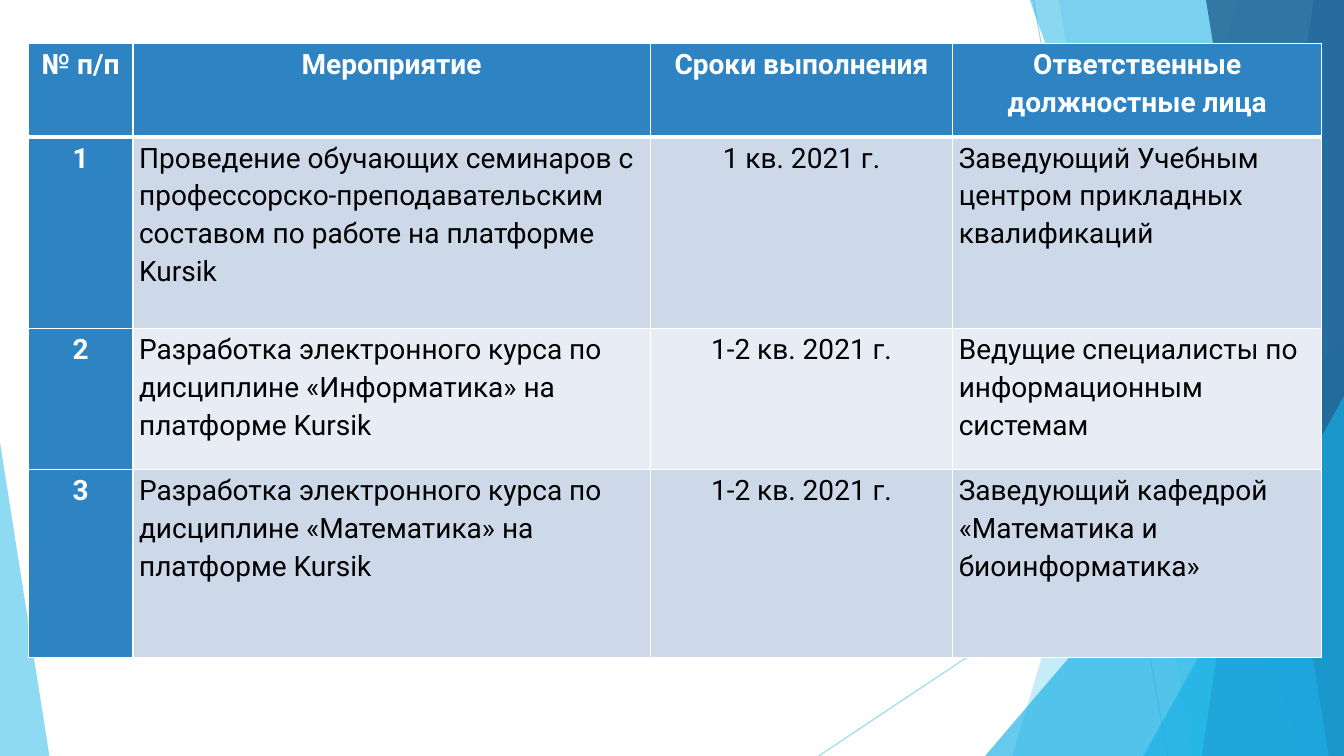
from lxml.etree import SubElement as Sub
from pptx import Presentation
from pptx.dml.color import RGBColor as Rgb
from pptx.enum.shapes import MSO_CONNECTOR as Conn, MSO_SHAPE as Shape
from pptx.enum.text import PP_ALIGN as Align
from pptx.oxml import parse_xml
from pptx.oxml.ns import nsdecls, qn
from pptx.util import Inches, Pt

# Content
HEAD = ("№ п/п", "Мероприятие", "Сроки выполнения", "Ответственные должностные лица")
TASKS = [
    ("Проведение обучающих семинаров с профессорско-преподавательским "
     "составом по работе на платформе Kursik",
     "1 кв. 2021 г.", "Заведующий Учебным центром прикладных квалификаций"),
    ("Разработка электронного курса по дисциплине «Информатика» на платформе Kursik",
     "1-2 кв. 2021 г.", "Ведущие специалисты по информационным системам"),
    ("Разработка электронного курса по дисциплине «Математика» на платформе Kursik",
     "1-2 кв. 2021 г.", "Заведующий кафедрой «Математика и биоинформатика»"),
]
ROWS = [HEAD] + [(str(n), *task) for n, task in enumerate(TASKS, 1)]


class Theme:
    font, size = "Roboto", Pt(20)
    white, black = "FFFFFF", "000000"
    sky, aqua, blue, navy = "5FCBEF", "17B0E4", "2E83C3", "226292"
    bands = "CDD9E9", "E8EDF5"
    thin, thick = 1, 3


# Geometry in inches
WIDE, HIGH, TOP = 13.33, 7.5, -0.01
COLS = (1.04, 5.13, 3, 3.66)
TALL = (0.93, 1.9, 1.4, 1.86)
LEFT, UPPER = 0.28, 0.43
LINES = [((10.25, 0), (11.58, HIGH)), ((WIDE, 4.03), (8.12, HIGH))]
# Facets run to the right edge: top x, bottom x, colour, opacity in percent.
# Wedges: left, top, width, apex position, colour, opacity in percent.
DECOR = [
    ("facet", (12.28, 10.04), Theme.sky, 36),
    ("facet", (10.5, 11.83), Theme.sky, 20),
    ("wedge", (9.77, 3.33, 3.56, 1), Theme.aqua, 66),
    ("facet", (10.21, 12.91), Theme.aqua, 50),
    ("facet", (13.03, 11.92), Theme.blue, 70),
    ("facet", (11.96, 13.18), Theme.navy, 80),
    ("wedge", (11.34, 3.93, 1.99, 1), Theme.aqua, 66),
    ("wedge", (0, 4.39, 0.49, 0), Theme.sky, 70),
]


def paint(fill, color, alpha=100):
    fill.solid()
    fill.fore_color.rgb = Rgb.from_string(color)
    if alpha < 100:
        tint = fill._xPr.find(qn("a:solidFill"))[0]
        Sub(tint, qn("a:alpha"), val=str(alpha * 1000))


def facet(shapes, top, low):
    pts = [(top, TOP), (WIDE, TOP), (WIDE, HIGH), (low, HIGH)]
    pts = [(Inches(x), Inches(y)) for x, y in pts]
    pen = shapes.build_freeform(*pts[0])
    pen.add_line_segments(pts[1:], close=True)
    return pen.convert_to_shape()


def wedge(shapes, left, top, width, apex):
    box = [Inches(v) for v in (left, top, width, HIGH - top)]
    shape = shapes.add_shape(Shape.ISOSCELES_TRIANGLE, *box)
    shape.adjustments[0] = apex
    return shape


def border(cell, row):
    edges = {"L": Theme.thin, "R": Theme.thin,
             "T": Theme.thick if row == 1 else Theme.thin,
             "B": Theme.thick if row == 0 else Theme.thin}
    props = cell._tc.get_or_add_tcPr()
    for spot, (side, width) in enumerate(edges.items()):
        props.insert(spot, parse_xml(
            f'<a:ln{side} {nsdecls("a")} w="{Pt(width)}"><a:solidFill>'
            f'<a:srgbClr val="{Theme.white}"/></a:solidFill></a:ln{side}>'))


def write(cell, text, row, col):
    strong = row == 0 or col == 0
    paint(cell.fill, Theme.blue if strong else Theme.bands[(row - 1) % 2])
    border(cell, row)
    cell.text = text
    para = cell.text_frame.paragraphs[0]
    center = row == 0 or col in (0, 2)
    font = para.runs[0].font
    formats = [
        (cell, {"margin_left": Inches(0.06), "margin_right": Inches(0.06),
                "margin_top": 0, "margin_bottom": 0}),
        (para, {"alignment": Align.CENTER if center else Align.LEFT,
                "line_spacing": 1.15, "space_after": Pt(10)}),
        (font, {"name": Theme.font, "size": Theme.size, "bold": strong}),
    ]
    for item, values in formats:
        for name, value in values.items():
            setattr(item, name, value)
    paint(font.fill, Theme.white if strong else Theme.black)


def main():
    deck = Presentation()
    deck.slide_width, deck.slide_height = Inches(WIDE), Inches(HIGH)
    shapes = deck.slides.add_slide(deck.slide_layouts[6]).shapes

    # Thin rays
    for start, end in LINES:
        ray = shapes.add_connector(Conn.STRAIGHT, *map(Inches, start + end))
        ray.line.width = Pt(0.75)
        paint(ray.line.fill, Theme.sky, 70)
        Sub(ray._element.spPr, qn("a:effectLst"))

    # Facets and wedges, back to front
    draw = {"facet": facet, "wedge": wedge}
    for kind, place, color, alpha in DECOR:
        shape = draw[kind](shapes, *place)
        shape.shadow.inherit = False
        shape.line.fill.background()
        paint(shape.fill, color, alpha)

    # Plan table
    box = map(Inches, (LEFT, UPPER, sum(COLS), sum(TALL)))
    table = shapes.add_table(len(ROWS), len(COLS), *box).table
    for col, width in zip(table.columns, COLS):
        col.width = Inches(width)
    for row, height in zip(table.rows, TALL):
        row.height = Inches(height)
    for r, texts in enumerate(ROWS):
        for c, text in enumerate(texts):
            write(table.cell(r, c), text, r, c)

    deck.save("out.pptx")


if __name__ == "__main__":
    main()
